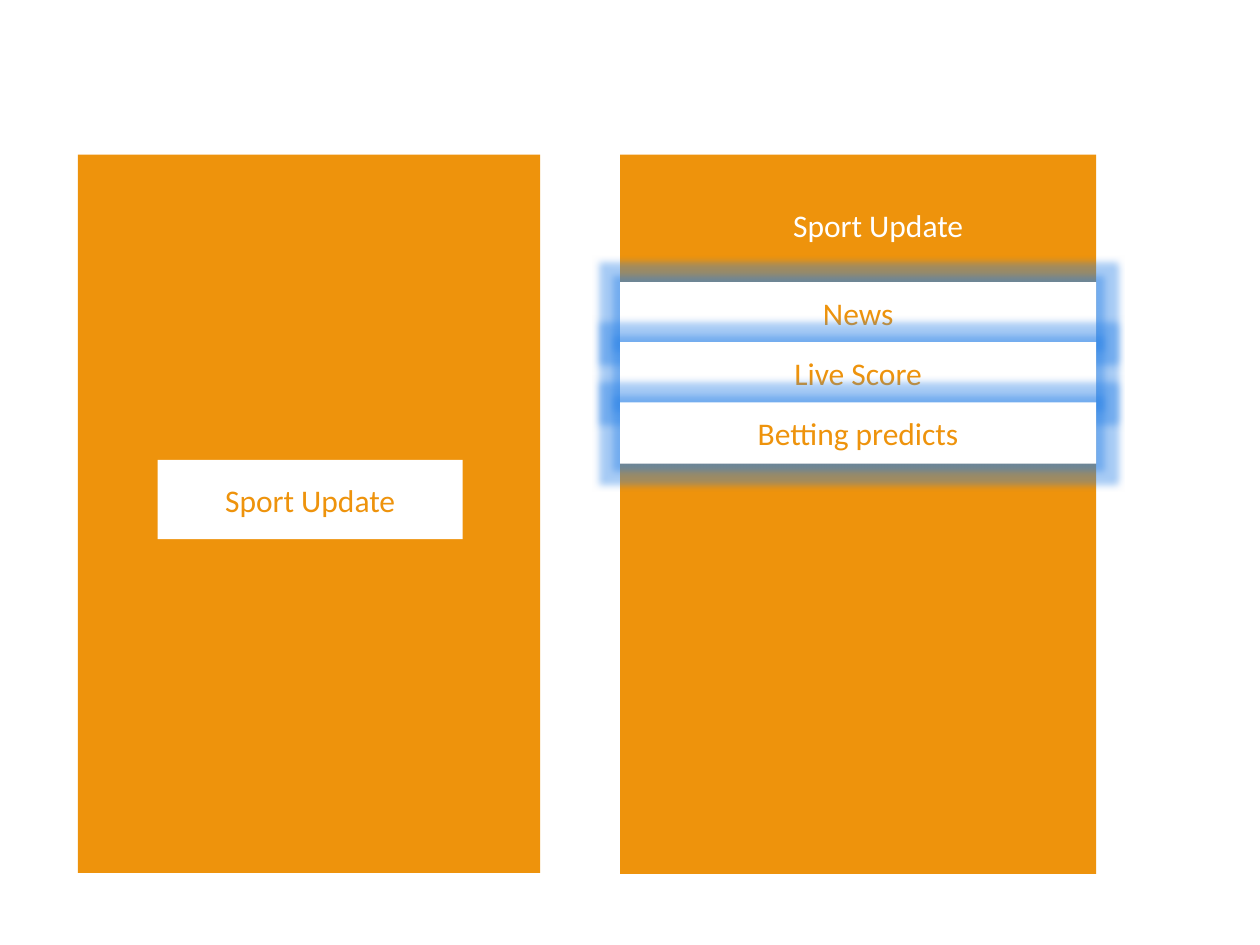
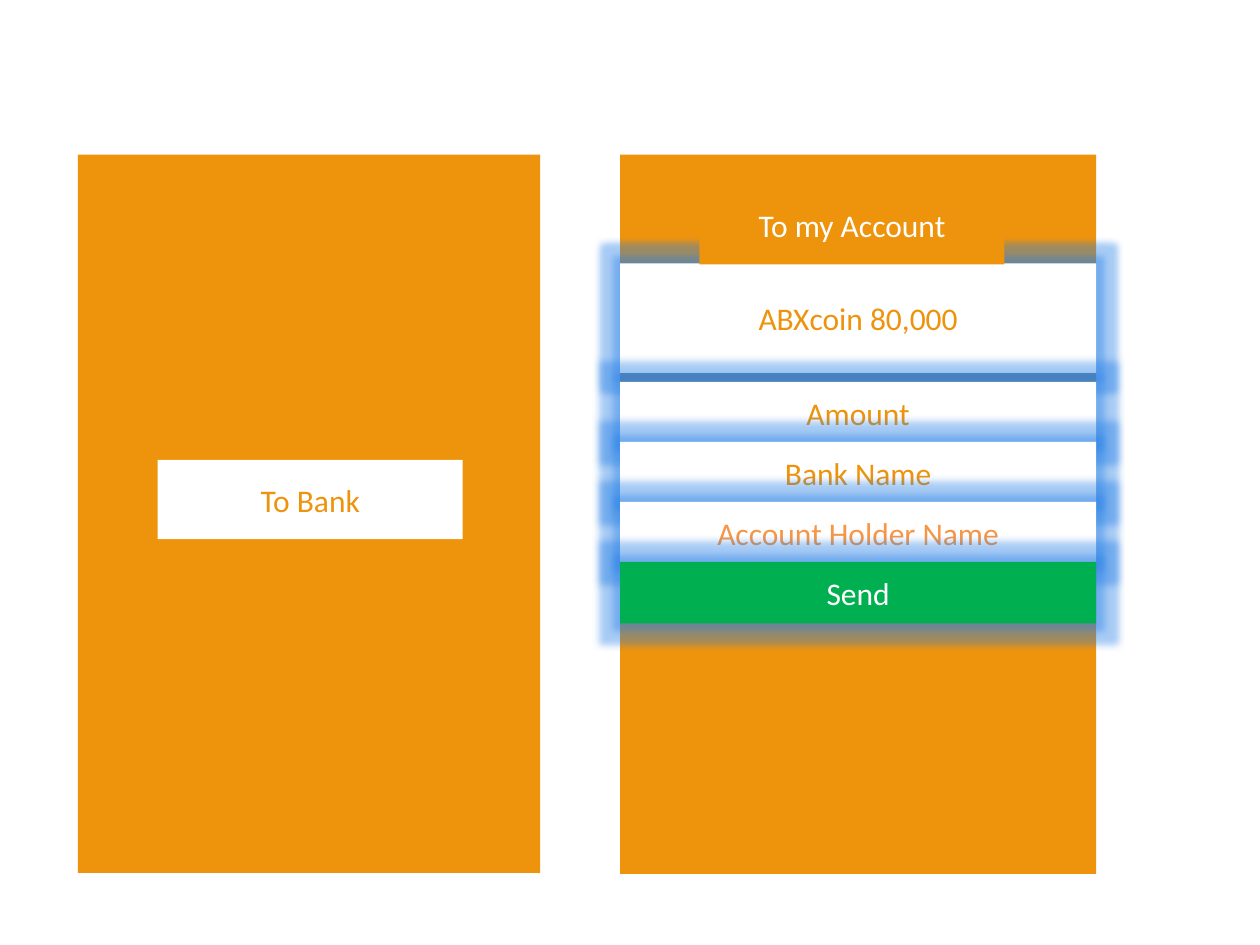
from lxml.etree import SubElement
from pptx import Presentation
from pptx.dml.color import RGBColor
from pptx.enum.shapes import MSO_SHAPE as Preset
from pptx.enum.text import MSO_ANCHOR as Anchor, MSO_AUTO_SIZE as AutoSize, PP_ALIGN as Align
from pptx.oxml.ns import qn
from pptx.util import Cm, Pt

ORANGE = RGBColor(0xEE, 0x93, 0x0C)
PEACH = RGBColor(0xF7, 0x96, 0x46)
GREEN = RGBColor(0x00, 0xB0, 0x50)
WHITE = RGBColor(0xFF, 0xFF, 0xFF)
GLOW_BLUE = RGBColor(0x25, 0x7F, 0xE6)

TITLE_ONLY = 5
FONT = {"name": "Calibri", "size": Pt(18), "bold": False}
FRAME = {"word_wrap": True, "auto_size": AutoSize.NONE, "vertical_anchor": Anchor.MIDDLE}

# Places in centimetres: left, top, width, height
START_SCREEN = (1.57, 3.12, 9.32, 14.48)
START_BUTTON = (3.18, 9.27, 6.15, 1.6)
MENU_SCREEN = (12.5, 3.12, 9.6, 14.5)
TITLE_LEFT, TITLE_TOP, TITLE_HEIGHT = 14.1, 3.73, 1.6
ROW_HEIGHT, ROW_STEP = 1.24, 1.21


def apply(target, values):
    """Set every attribute in a dict of format values."""
    for name, value in values.items():
        setattr(target, name, value)


def write(shape, text, color):
    """Write one centred line of text."""
    frame = shape.text_frame
    apply(frame, FRAME)
    para = frame.paragraphs[0]
    para.alignment = Align.CENTER
    span = para.add_run()
    span.text = text
    apply(span.font, FONT)
    span.font.color.rgb = color


def add_box(page, place, fill, text="", color=ORANGE):
    """Add a plain rectangle, with a label if there is text."""
    box = page.shapes.add_shape(Preset.RECTANGLE, *map(Cm, place))
    box.shadow.inherit = False
    box.fill.solid()
    box.fill.fore_color.rgb = fill
    box.line.fill.background()
    if text:
        write(box, text, color)
    return box


def add_glow(box):
    """Give a box a soft blue glow."""
    effects = box.element.spPr.find(qn("a:effectLst"))
    glow = SubElement(effects, qn("a:glow"), rad=str(Pt(8)))
    tint = SubElement(glow, qn("a:srgbClr"), val=str(GLOW_BLUE))
    SubElement(tint, qn("a:alpha"), val="40000")


def add_row(page, top, text, height=ROW_HEIGHT, fill=WHITE, color=ORANGE):
    """Add a glowing row across the menu screen."""
    left, _, width, _ = MENU_SCREEN
    add_glow(add_box(page, (left, top, width, height), fill, text, color))


def add_rows(page, top, rows):
    """Stack rows of (text, fill, text colour) at an equal step."""
    for index, (text, fill, color) in enumerate(rows):
        add_row(page, top + index * ROW_STEP, text, fill=fill, color=color)


def place_title(page, text, width):
    """Turn the title placeholder into the menu header, above what is drawn so far."""
    title = page.shapes.title
    apply(title, {"left": Cm(TITLE_LEFT), "top": Cm(TITLE_TOP),
                  "width": Cm(width), "height": Cm(TITLE_HEIGHT)})
    title.fill.solid()
    title.fill.fore_color.rgb = ORANGE
    write(title, text, WHITE)
    page.shapes.element.append(title.element)


def add_screens(deck, button):
    """Add a page with the start screen, its button and an empty menu screen."""
    page = deck.slides.add_slide(deck.slide_layouts[TITLE_ONLY])
    add_box(page, MENU_SCREEN, ORANGE)
    add_box(page, START_SCREEN, ORANGE)
    add_box(page, START_BUTTON, WHITE, button)
    return page


def add_sport_page(deck):
    """Sport screens: start button and news menu."""
    page = add_screens(deck, "Sport Update")
    place_title(page, "Sport Update", 7.21)
    add_rows(page, 5.69, [(text, WHITE, ORANGE)
                          for text in ("News", "Live Score", "Betting predicts")])


def add_bank_page(deck):
    """Bank screens: start button and transfer form."""
    page = add_screens(deck, "To Bank")
    add_row(page, 5.31, "ABXcoin 80,000", height=2.21)
    place_title(page, "To my Account", 6.15)
    add_rows(page, 7.7, [
        ("Amount", WHITE, ORANGE),
        ("Bank Name", WHITE, ORANGE),
        ("Account Holder Name", WHITE, PEACH),
        ("Send", GREEN, WHITE),
    ])


def main():
    """Build and save the deck."""
    deck = Presentation()
    apply(deck, {"slide_width": Cm(25.4), "slide_height": Cm(19.05)})
    add_sport_page(deck)
    add_bank_page(deck)
    deck.save("out.pptx")


main()
